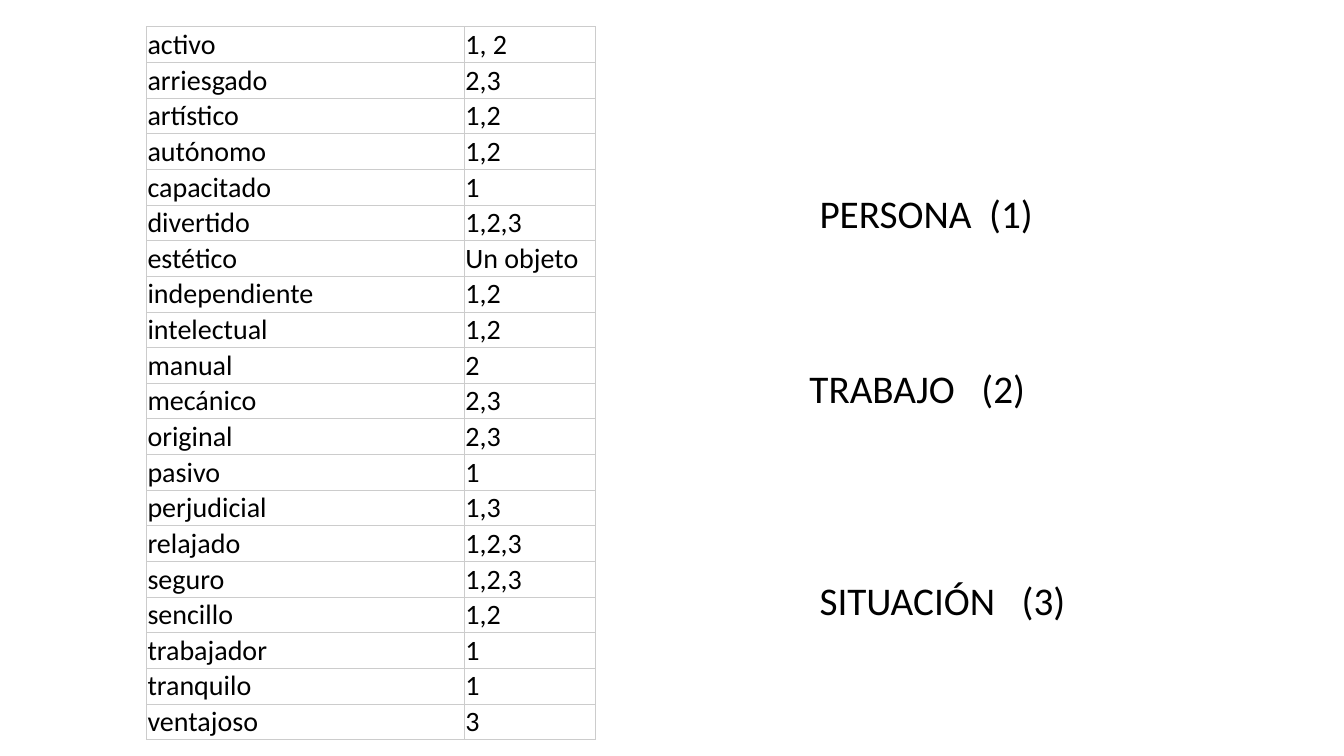
import pptx
import pptx.util
import pptx.dml.color
import pptx.enum.text
import pptx.oxml
import pptx.oxml.ns

COLORS = {"text": "000000", "border": "CCCCCC"}
FONT = "Calibri"

prs = pptx.Presentation()
prs.slide_width = W = pptx.util.Inches(13.33)
prs.slide_height = H = pptx.util.Inches(7.5)
s = prs.slides.add_slide(prs.slide_layouts[6])


def write(tf, text, size):
    tf.text = text
    font = tf.paragraphs[0].runs[0].font
    font.name = FONT
    font.size = pptx.util.Pt(size)
    font.color.rgb = pptx.dml.color.RGBColor.from_string(COLORS["text"])


def add_borders(cell):
    tcPr = cell._tc.get_or_add_tcPr()
    for side in "LRTB":
        tcPr.append(pptx.oxml.parse_xml(
            f'<a:ln{side} {pptx.oxml.ns.nsdecls("a")} w="7620"><a:solidFill>'
            f'<a:srgbClr val="{COLORS["border"]}"/></a:solidFill></a:ln{side}>'))


# Category labels: text, left, top and width as shares of the slide
labels = [
    ("PERSONA  (1)", 0.6024, 0.244, 0.235),
    ("TRABAJO   (2)", 0.5949, 0.476, 0.202),
    ("SITUACIÓN   (3)", 0.6024, 0.756, 0.2),
]
for text, left, top, width in labels:
    sp = s.shapes.add_textbox(int(W * left), int(H * top), int(W * width), int(H * 0.076))
    tf = sp.text_frame
    tf.word_wrap = True
    tf.auto_size = pptx.enum.text.MSO_AUTO_SIZE.SHAPE_TO_FIT_TEXT
    write(tf, text, 28)
tf.word_wrap = False  # the last label stays on one line

# Adjectives and the categories each one can describe
adjectives = [
    ("activo", "1, 2"), ("arriesgado", "2,3"), ("artístico", "1,2"),
    ("autónomo", "1,2"), ("capacitado", "1"), ("divertido", "1,2,3"),
    ("estético", "Un objeto"), ("independiente", "1,2"), ("intelectual", "1,2"),
    ("manual", "2"), ("mecánico", "2,3"), ("original", "2,3"),
    ("pasivo", "1"), ("perjudicial", "1,3"), ("relajado", "1,2,3"),
    ("seguro", "1,2,3"), ("sencillo", "1,2"), ("trabajador", "1"),
    ("tranquilo", "1"), ("ventajoso", "3"),
]
col_widths = [int(W * 0.2365), int(W * 0.0977)]
table_height = int(H * 0.937)
table = s.shapes.add_table(len(adjectives), 2, int(W * 0.109), int(H * 0.0355),
                           sum(col_widths), table_height).table
table.first_row = table.horz_banding = False
for col, width in zip(table.columns, col_widths):
    col.width = width

for row, values in zip(table.rows, adjectives):
    row.height = table_height // len(adjectives)
    for cell, value in zip(row.cells, values):
        write(cell.text_frame, value, 20)
        cell.vertical_anchor = pptx.enum.text.MSO_ANCHOR.BOTTOM
        cell.margin_left = cell.margin_right = pptx.util.Inches(0.01)
        cell.margin_top = cell.margin_bottom = pptx.util.Inches(0.01)
        add_borders(cell)
        cell.fill.background()

prs.save("out.pptx")
